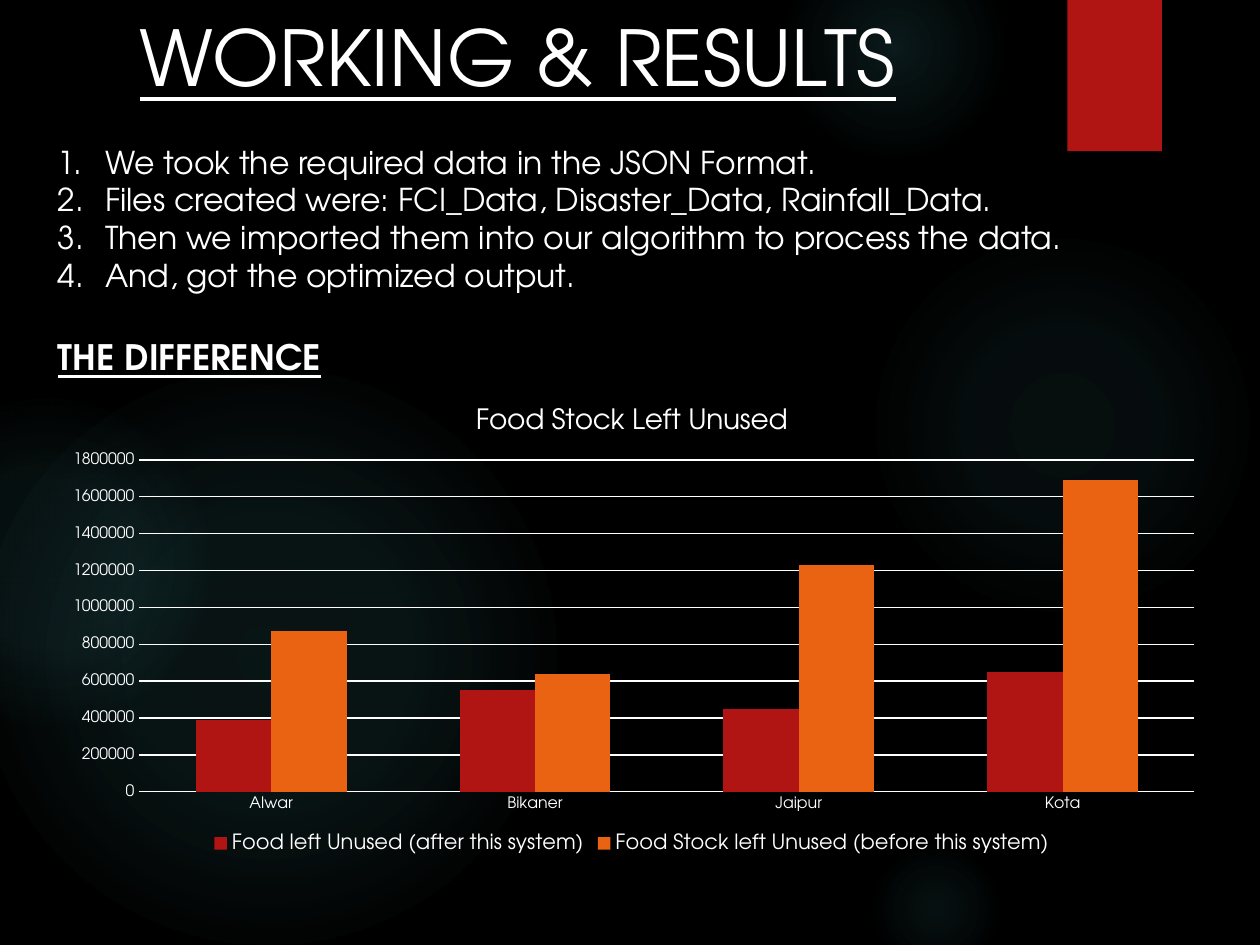
"""Build the slide on working and results, with its chart of unused food stock."""
from lxml import etree
from pptx import Presentation
from pptx.chart import data as cd
from pptx.dml.color import RGBColor
from pptx.enum import chart as ce, shapes, text
from pptx.oxml import parse_xml
from pptx.oxml.ns import nsdecls, qn
from pptx.util import Pt

THEME = {
    "font": "TeX Gyre Adventor",
    "back": "000000", "ink": "FFFFFF", "red": "B01513", "orange": "EA6312", "glow": "50B9C1",
    "title": 44, "list": 18, "head": 20, "chart": 16, "key": 12, "axis": 9,
}

# left, top, size, then (stop %, opacity %) pairs
GLOWS = [
    (496, 132, 222, [(0, 7), (36, 6), (69, 0)]),
    (448, -36, 126, [(0, 14), (36, 7), (73, 0)]),
    (496, 480, 78, [(0, 9), (36, 5), (66, 0)]),
    (-12, 210, 330, [(0, 11), (36, 10), (75, 0)]),
    (-66, 228, 186, [(0, 8), (36, 8), (72, 0)]),
]
TAB = (610, 0, 54, 86.4)
TITLE = "WORKING & RESULTS"
STEPS = [
    "We took the required data in the JSON Format.",
    "Files created were: FCI_Data, Disaster_Data, Rainfall_Data.",
    "Then we imported them into our algorithm to process the data.",
    "And, got the optimized output.",
]
HEAD = "THE DIFFERENCE"
CHART = {
    "title": "Food Stock Left Unused",
    "cats": ["Alwar", "Bikaner", "Jaipur", "Kota"],
    "series": [
        ("Food left Unused (after this system)", "red", [390000, 550000, 450000, 650000]),
        ("Food Stock left Unused (before this system)", "orange", [870000, 640000, 1230000, 1690000]),
    ],
    "plot": {"x": 0.08, "y": 0.16, "w": 0.9, "h": 0.7},
}
LEFT, WIDE, INDENT = 26, 628, 27


def color(name):
    return RGBColor.from_string(THEME[name])


def style(font, size):
    font.name, font.size = THEME["font"], Pt(THEME[size])
    font.color.rgb = color("ink")


def add_plain(slide, kind, box):
    shape = slide.shapes.add_shape(kind, *map(Pt, box))
    shape.shadow.inherit = False
    shape.line.fill.background()
    return shape


def add_glow(slide, left, top, size, stops):
    shape = add_plain(slide, shapes.MSO_SHAPE.OVAL, (left, top, size, size))
    shape.fill.background()
    marks = "".join(
        f'<a:gs pos="{at * 1000}"><a:srgbClr val="{THEME["glow"]}">'
        f'<a:alpha val="{alpha * 1000}"/></a:srgbClr></a:gs>' for at, alpha in stops)
    fill = parse_xml(
        f'<a:gradFill {nsdecls("a")}><a:gsLst>{marks}</a:gsLst><a:path path="circle">'
        '<a:fillToRect l="50000" t="50000" r="50000" b="50000"/></a:path></a:gradFill>')
    props = shape.element.spPr
    props.replace(props.find(qn("a:noFill")), fill)


def add_text(slide, box, lines, size, bold=False, under=False, center=False, count=False):
    frame = slide.shapes.add_textbox(*map(Pt, box)).text_frame
    frame.word_wrap = True
    frame.text = "\n".join(lines)
    for para in frame.paragraphs:
        if center:
            para.alignment = text.PP_ALIGN.CENTER
        if count:
            props = para._p.get_or_add_pPr()
            props.set("marL", str(Pt(INDENT)))
            props.set("indent", str(-Pt(INDENT)))
            etree.SubElement(props, qn("a:buAutoNum"), type="arabicPeriod")
        for run in para.runs:
            style(run.font, size)
            run.font.bold, run.font.underline = bold, under


def add_bars(slide, box):
    data = cd.CategoryChartData()
    data.categories = CHART["cats"]
    for name, _, vals in CHART["series"]:
        data.add_series(name, vals)
    kind = ce.XL_CHART_TYPE.COLUMN_CLUSTERED
    chart = slide.shapes.add_chart(kind, *map(Pt, box), data).chart
    style(chart.font, "axis")

    chart.has_title = True
    frame = chart.chart_title.text_frame
    frame.text = CHART["title"]
    font = frame.paragraphs[0].runs[0].font
    style(font, "chart")
    font.bold = False
    chart.chart_title.include_in_layout = False

    chart.has_legend = True
    chart.legend.position = ce.XL_LEGEND_POSITION.BOTTOM
    chart.legend.include_in_layout = False
    style(chart.legend.font, "key")

    for axis in (chart.category_axis, chart.value_axis):
        axis.major_tick_mark = axis.minor_tick_mark = ce.XL_TICK_MARK.NONE
        axis.format.line.fill.background()
        style(axis.tick_labels.font, "axis")
    scale = chart.value_axis
    scale.minimum_scale, scale.maximum_scale, scale.major_unit = 0, 1800000, 200000
    grid = scale.major_gridlines.format.line
    grid.color.rgb, grid.width = color("ink"), Pt(0.75)

    plot = chart.plots[0]
    plot.gap_width, plot.overlap, plot.vary_by_categories = 150, 0, False
    for bar, (_, tint, _) in zip(plot.series, CHART["series"]):
        bar.format.fill.solid()
        bar.format.fill.fore_color.rgb = color(tint)

    area = chart._chartSpace.chart.plotArea
    for old in area.findall(qn("c:layout")):
        area.remove(old)
    modes = "".join(f'<c:{key}Mode val="edge"/>' for key in "xy")
    sides = "".join(f'<c:{key} val="{val}"/>' for key, val in CHART["plot"].items())
    area.insert(0, parse_xml(
        f'<c:layout {nsdecls("c")}><c:manualLayout><c:layoutTarget val="inner"/>'
        f'{modes}{sides}</c:manualLayout></c:layout>'))


def main():
    deck = Presentation()
    deck.slide_width, deck.slide_height = Pt(720), Pt(540)
    slide = deck.slides.add_slide(deck.slide_layouts[6])
    slide.background.fill.solid()
    slide.background.fill.fore_color.rgb = color("back")
    for glow in GLOWS:
        add_glow(slide, *glow)
    tab = add_plain(slide, shapes.MSO_SHAPE.RECTANGLE, TAB)
    tab.fill.solid()
    tab.fill.fore_color.rgb = color("red")
    add_text(slide, (12, 2, 568, 60.5), [TITLE], "title", under=True, center=True)
    add_text(slide, (LEFT, 78, WIDE, 94.5), STEPS, "list", count=True)
    add_text(slide, (LEFT, 188, WIDE, 31.5), [HEAD], "head", bold=True, under=True)
    add_bars(slide, (LEFT, 219.5, 670, 271))
    deck.save("out.pptx")


if __name__ == "__main__":
    main()
